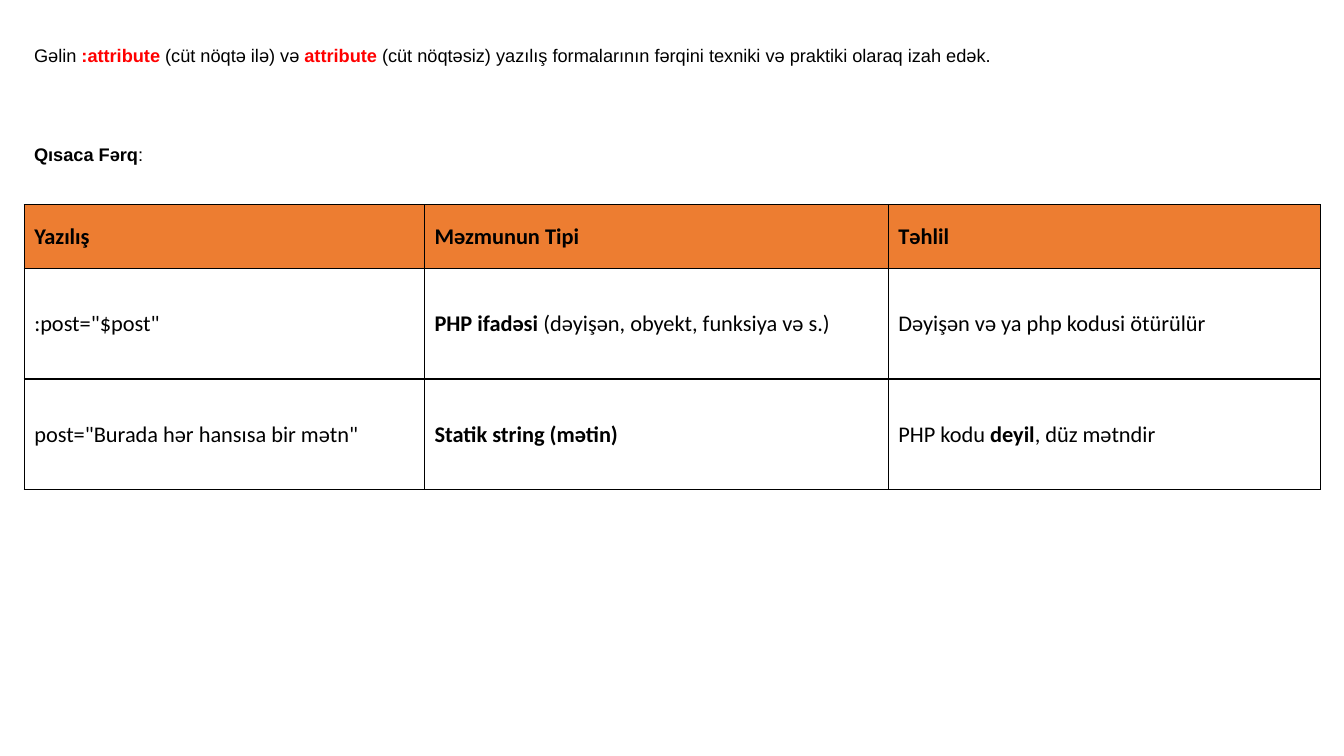
from lxml import etree
from pptx import Presentation
from pptx.dml.color import RGBColor
from pptx.enum import text
from pptx.oxml import ns
from pptx.util import Inches, Pt

COLORS = {"ink": "000000", "accent": "FF0000", "header": "ED7D31"}

# A run is (words, bold, colour name).
INTRO = [
    ("Gəlin ", False, "ink"),
    (":attribute ", True, "accent"),
    ("(cüt nöqtə ilə) və ", False, "ink"),
    ("attribute", True, "accent"),
    (" (cüt nöqtəsiz) yazılış formalarının fərqini texniki və praktiki olaraq izah edək.",
     False, "ink"),
]
SUBHEADING = [("Qısaca Fərq", True, "ink"), (":", False, "ink")]

# A cell is a list of (words, bold) runs.
TABLE = [
    [[("Yazılış", True)], [("Məzmunun Tipi", True)], [("Təhlil", True)]],
    [
        [(':post="$post"', False)],
        [("PHP ifadəsi", True), (" (dəyişən, obyekt, funksiya və s.)", False)],
        [("Dəyişən və ya php kodusi ötürülür", False)],
    ],
    [
        [('post="Burada hər hansısa bir mətn"', False)],
        [("Statik string (mətin)", True)],
        [("PHP kodu ", False), ("deyil", True), (", düz mətndir", False)],
    ],
]
COLUMN_WIDTHS = [3.97, 4.6, 4.29]
ROW_HEIGHTS = [0.63, 1.1, 1.1]

SLIDE_WIDTH, SLIDE_HEIGHT = 13.33, 7.5
LEFT = 0.24
CONTENT_WIDTH = sum(COLUMN_WIDTHS)
INTRO_TOP, INTRO_HEIGHT = 0.28, 1.37
TABLE_TOP = 2.03
SUBHEADING_GAP = 47.5


def add_run(paragraph, words, bold, font_name, size, color="ink"):
    run = paragraph.add_run()
    run.text = words
    run.font.name = font_name
    run.font.size = Pt(size)
    run.font.bold = bold
    run.font.color.rgb = RGBColor.from_string(COLORS[color])


def add_borders(cell):
    """Draw a one-point line on each side of the cell."""
    properties = cell._tc.get_or_add_tcPr()
    for position, side in enumerate(("lnL", "lnR", "lnT", "lnB")):
        line = etree.Element(ns.qn(f"a:{side}"), w=str(Pt(1)))
        fill = etree.SubElement(line, ns.qn("a:solidFill"))
        etree.SubElement(fill, ns.qn("a:srgbClr"), val=COLORS["ink"])
        properties.insert(position, line)


def add_intro(slide):
    box = slide.shapes.add_textbox(
        Inches(LEFT), Inches(INTRO_TOP), Inches(CONTENT_WIDTH), Inches(INTRO_HEIGHT))
    frame = box.text_frame
    frame.word_wrap = True
    subheading = frame.add_paragraph()
    subheading.space_before = Pt(SUBHEADING_GAP)
    for paragraph, runs in ((frame.paragraphs[0], INTRO), (subheading, SUBHEADING)):
        paragraph.line_spacing = 1.5
        for words, bold, color in runs:
            add_run(paragraph, words, bold, "Arial", 13, color)


def add_comparison(slide):
    table = slide.shapes.add_table(
        len(ROW_HEIGHTS), len(COLUMN_WIDTHS), Inches(LEFT), Inches(TABLE_TOP),
        Inches(CONTENT_WIDTH), Inches(sum(ROW_HEIGHTS))).table
    table.horz_banding = False
    for column, width in zip(table.columns, COLUMN_WIDTHS):
        column.width = Inches(width)
    for row_index, (row, height) in enumerate(zip(table.rows, ROW_HEIGHTS)):
        row.height = Inches(height)
        for cell, runs in zip(row.cells, TABLE[row_index]):
            cell.vertical_anchor = text.MSO_ANCHOR.MIDDLE
            add_borders(cell)
            if row_index == 0:
                cell.fill.solid()
                cell.fill.fore_color.rgb = RGBColor.from_string(COLORS["header"])
            else:
                cell.fill.background()
            for words, bold in runs:
                add_run(cell.text_frame.paragraphs[0], words, bold, "Calibri", 16)


def main():
    presentation = Presentation()
    presentation.slide_width = Inches(SLIDE_WIDTH)
    presentation.slide_height = Inches(SLIDE_HEIGHT)
    blank_layout = presentation.slide_layouts.get_by_name("Blank")
    slide = presentation.slides.add_slide(blank_layout)
    add_intro(slide)
    add_comparison(slide)
    presentation.save("out.pptx")


if __name__ == "__main__":
    main()
